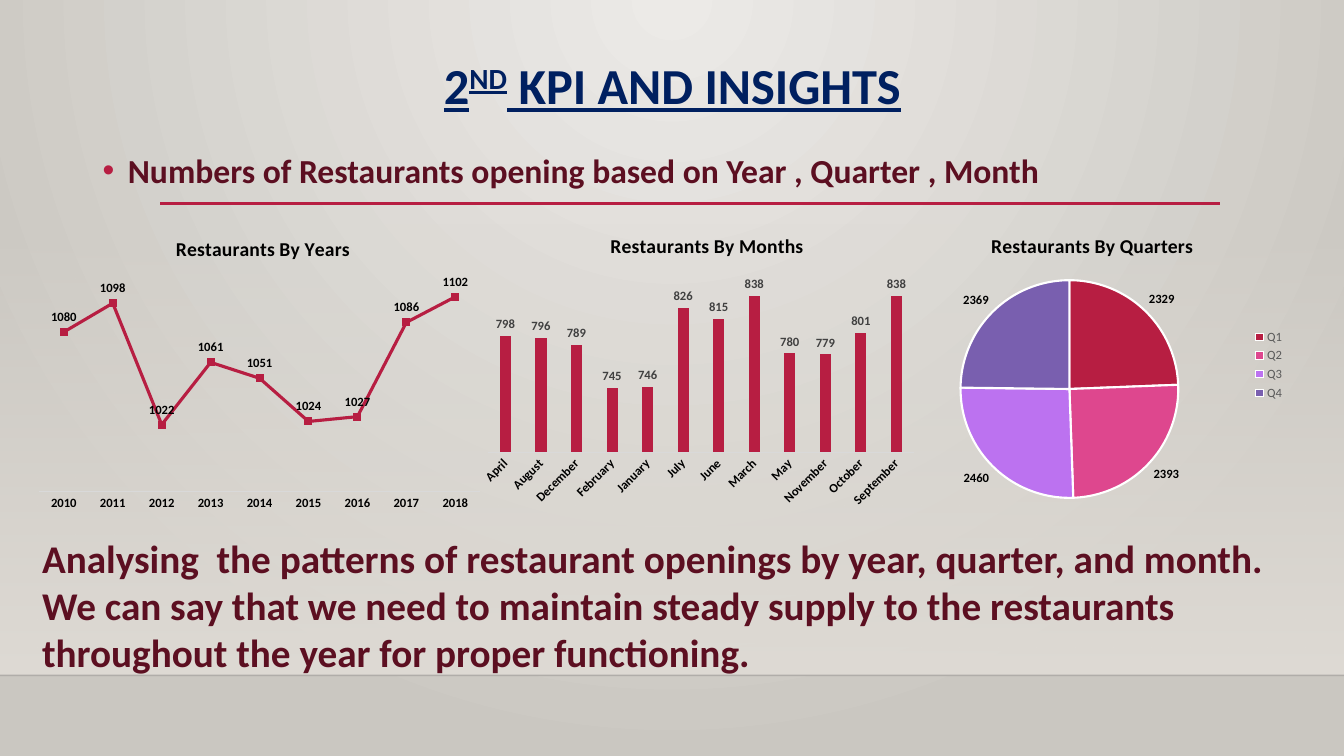
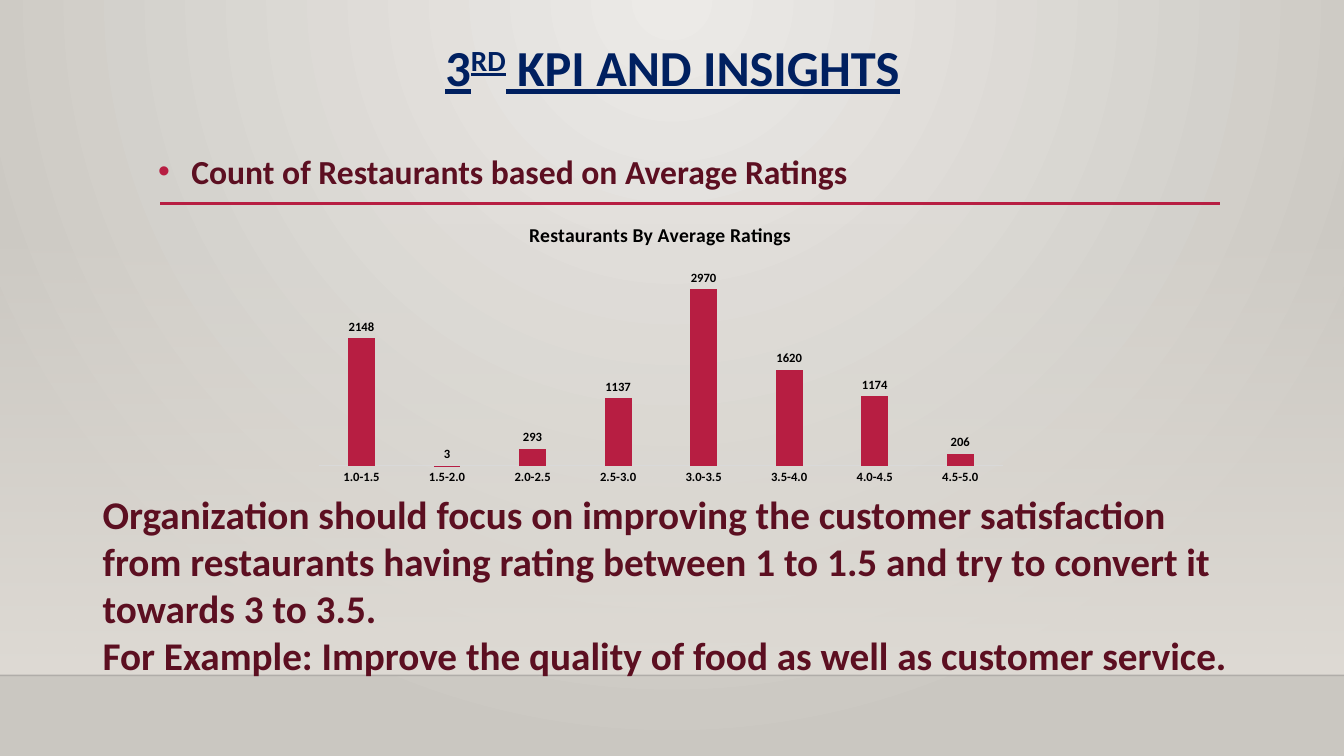
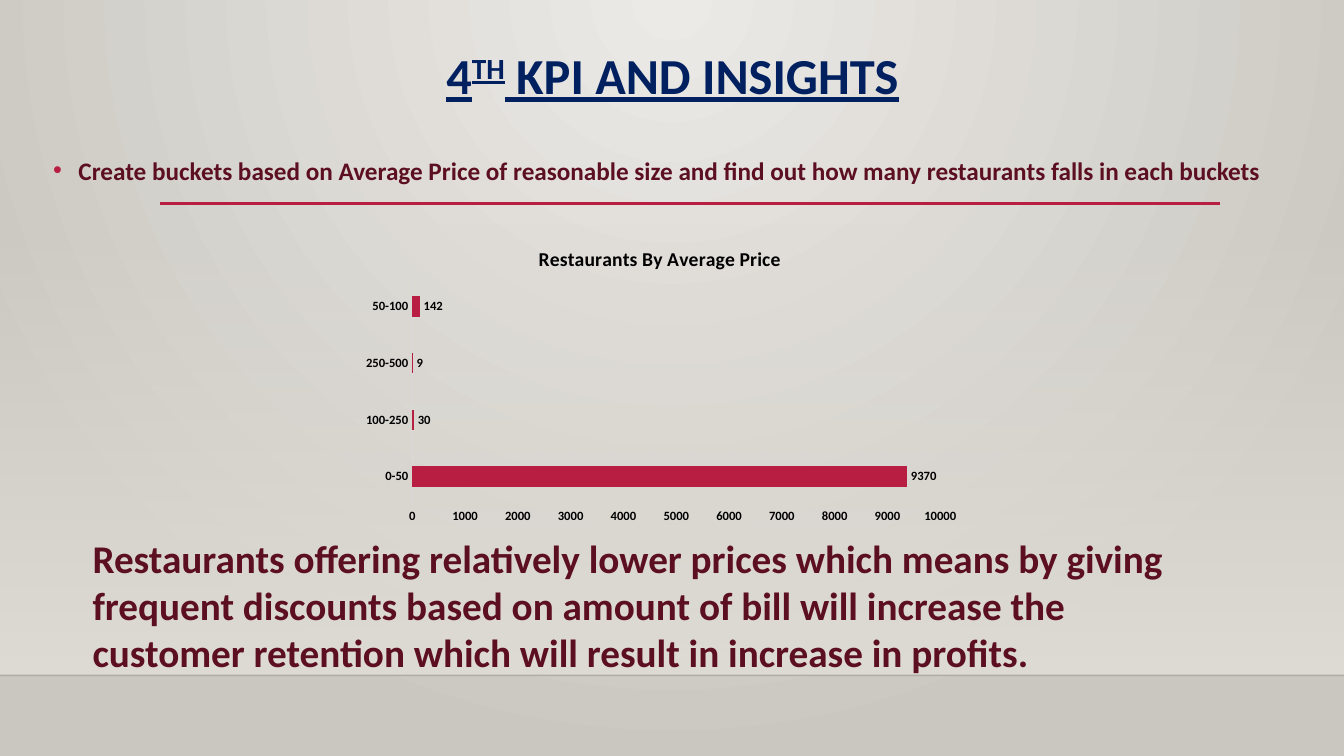
from lxml.etree import SubElement
from pptx import Presentation
from pptx.chart.data import CategoryChartData
from pptx.dml.color import RGBColor
from pptx.enum.chart import XL_CHART_TYPE, XL_LABEL_POSITION, XL_LEGEND_POSITION, XL_TICK_MARK
from pptx.enum.shapes import MSO_CONNECTOR, MSO_SHAPE
from pptx.enum.text import MSO_AUTO_SIZE, PP_ALIGN
from pptx.oxml.ns import qn
from pptx.util import Inches, Pt

theme = {
    "glow": "ECEAE7", "edge": "CAC7C1", "floor": "DFDBD5", "shade": "000001",
    "rose": "B71E42", "axis": "D9D9D9", "white": "FFFFFF",
    "slices": ["B71E42", "DE478E", "BC72F0", "795FAF"],
    "title": {"size": 36, "color": "002060", "bold": True, "underline": True},
    "topic": {"size": 24, "color": "5C0F21", "bold": True},
    "long": {"size": 18, "color": "5C0F21", "bold": True},
    "note": {"size": 28, "color": "5C0F21", "bold": True},
    "chart": {"size": 10, "color": "000000"},
    "head": {"size": 14, "color": "000000", "bold": True},
    "label": {"size": 9, "color": "000000", "bold": True},
    "soft": {"size": 9, "color": "404040", "bold": True},
    "key": {"size": 9, "color": "595959", "bold": False},
}


def ink(font, name):
    font.name = "Calibri"
    for key, val in theme[name].items():
        if key == "color":
            font.color.rgb = RGBColor.from_string(val)
        else:
            setattr(font, key, Pt(val) if key == "size" else val)


def write(slide, rect, name, lines):
    box = slide.shapes.add_textbox(*map(Inches, rect))
    frame = box.text_frame
    frame.word_wrap = True
    for spot, runs in enumerate(lines):
        para = frame.add_paragraph() if spot else frame.paragraphs[0]
        for text in runs:
            run = para.add_run()
            run.text = text
            ink(run.font, name)
    return frame


column, line = XL_CHART_TYPE.COLUMN_CLUSTERED, XL_CHART_TYPE.LINE
bar, pie = XL_CHART_TYPE.BAR_CLUSTERED, XL_CHART_TYPE.PIE
above, beyond = XL_LABEL_POSITION.ABOVE, XL_LABEL_POSITION.OUTSIDE_END

pages = [
    {
        "rank": ("2", "ND"), "title": (0.56, 0.92),
        "topic": "Numbers of Restaurants opening based on Year , Quarter , Month",
        "place": (0.92, 1.36, 11.5), "type": "topic", "indent": 0.25,
        "box": (0.32, 5.25, 12.52, 1.51),
        "note": ["Analysing  the patterns of restaurant openings by year, quarter, and month. We can say that we need to maintain steady supply to the restaurants throughout the year for proper functioning."],
        "charts": [
            {"kind": column, "at": (4.7, 2.12, 4.55, 3), "title": "Restaurants By Months", "left": 0.29,
             "plot": (0.03, 0.2, 0.93, 0.59), "range": (680, 860), "label": "soft", "turn": -45,
             "data": {"April": 798, "August": 796, "December": 789, "February": 745, "January": 746, "July": 826,
                      "June": 815, "March": 838, "May": 780, "November": 779, "October": 801, "September": 838}},
            {"kind": pie, "at": (8.78, 2.12, 4.06, 3), "title": "Restaurants By Quarters", "left": 0.25,
             "plot": (0.18, 0.22, 0.54, 0.72), "label": "label",
             "data": {"Q1": 2329, "Q2": 2393, "Q3": 2460, "Q4": 2369}},
            {"kind": line, "at": (0.3, 2.15, 4.55, 3), "title": "Restaurants By Years", "left": 0.31,
             "plot": (0.02, 0.17, 0.96, 0.74), "range": (980, 1120), "label": "label",
             "data": {"2010": 1080, "2011": 1098, "2012": 1022, "2013": 1061, "2014": 1051,
                      "2015": 1024, "2016": 1027, "2017": 1086, "2018": 1102}},
        ],
    },
    {
        "rank": ("3", "RD"), "title": (0.38, 0.89),
        "topic": "Count of Restaurants based on Average Ratings",
        "place": (1.47, 1.37, 10.94), "type": "topic", "indent": 0.33,
        "box": (0.92, 4.81, 11.39, 1.99),
        "note": ["Organization should focus on improving the customer satisfaction from restaurants having rating between 1 to 1.5 and try to convert it towards 3 to 3.5.",
                 "For Example: Improve the quality of food as well as customer service."],
        "charts": [
            {"kind": column, "at": (3.02, 2.02, 7.07, 2.83), "title": "Restaurants By Average Ratings", "left": 0.31,
             "plot": (0.02, 0.19, 0.96, 0.73), "range": (0, 3500), "label": "label",
             "data": {"1.0-1.5": 2148, "1.5-2.0": 3, "2.0-2.5": 293, "2.5-3.0": 1137,
                      "3.0-3.5": 2970, "3.5-4.0": 1620, "4.0-4.5": 1174, "4.5-5.0": 206}},
        ],
    },
    {
        "rank": ("4", "TH"), "title": (0.46, 0.75),
        "topic": "Create buckets based on Average Price of reasonable size and find out how many restaurants falls in each buckets",
        "place": (0.43, 1.43, 12.54), "type": "long", "indent": 0.25,
        "box": (0.82, 5.25, 11.26, 1.51),
        "note": ["Restaurants offering relatively lower prices which means by giving frequent discounts based on amount of bill will increase the customer retention which will result in increase in profits."],
        "charts": [
            {"kind": bar, "at": (3.48, 2.25, 6.09, 3), "title": "Restaurants By Average Price", "left": 0.3,
             "plot": (0.1, 0.17, 0.86, 0.75), "range": (0, 10000), "label": "label",
             "data": {"0-50": 9370, "100-250": 30, "250-500": 9, "50-100": 142}},
        ],
    },
]

deck = Presentation()
deck.slide_width, deck.slide_height = Inches(13.33), Inches(7.5)

master = deck.slide_master
fill = master.background.fill
fill.gradient()
for stop, tone in zip(fill.gradient_stops, ("glow", "edge")):
    stop.color.rgb = RGBColor.from_string(theme[tone])
grad = master.element.find(".//" + qn("a:gradFill"))
grad.remove(grad.find(qn("a:lin")))
round_ = SubElement(grad, qn("a:path"), {"path": "circle"})
SubElement(round_, qn("a:fillToRect"), {"l": "43000", "t": "0", "r": "43000", "b": "100000"})

for page in pages:
    slide = deck.slides.add_slide(deck.slide_layouts[6])

    band = slide.shapes.add_shape(MSO_SHAPE.RECTANGLE, 0, Inches(2.21), deck.slide_width, Inches(4.49))
    band.shadow.inherit = False
    band.line.fill.background()
    band.fill.gradient()
    band.fill.gradient_angle = 270
    for stop in band.fill.gradient_stops:
        stop.color.rgb = RGBColor.from_string(theme["floor"])
    tint = band.element.find(".//" + qn("a:gs")).find(qn("a:srgbClr"))
    SubElement(tint, qn("a:alpha"), {"val": "0"})

    for start, end, y, tone, width, alpha in ((0, 13.33, 6.7, "shade", 1, 20), (1.59, 12.1, 2.02, "rose", 2.5, 100)):
        rule = slide.shapes.add_connector(MSO_CONNECTOR.STRAIGHT, Inches(start), Inches(y), Inches(end), Inches(y))
        rule.line.width = Pt(width)
        rule.line.color.rgb = RGBColor.from_string(theme[tone])
        SubElement(rule.element.find(".//" + qn("a:srgbClr")), qn("a:alpha"), {"val": str(alpha * 1000)})
        SubElement(rule.element.spPr, qn("a:effectLst"))

    top, height = page["title"]
    para = write(slide, (0.92, top, 11.5, height), "title", [(*page["rank"], " KPI AND INSIGHTS")]).paragraphs[0]
    para.alignment = PP_ALIGN.CENTER
    para.line_spacing = 0.9
    para.runs[1].font._element.set("baseline", "30000")

    left, top, width = page["place"]
    para = write(slide, (left, top, width, 6.75 - top), page["type"], [[page["topic"]]]).paragraphs[0]
    para.line_spacing = 1.2
    props = para._p.get_or_add_pPr()
    inset = Inches(page["indent"])
    props.set("marL", str(inset))
    props.set("indent", str(-inset))
    SubElement(SubElement(props, qn("a:buClr")), qn("a:srgbClr"), {"val": theme["rose"]})
    SubElement(props, qn("a:buFont"), {"typeface": "Arial"})
    SubElement(props, qn("a:buChar"), {"char": "•"})

    for item in page["charts"]:
        kind = item["kind"]
        data = CategoryChartData(number_format="0")
        data.categories = list(item["data"])
        data.add_series("Series 1", list(item["data"].values()))
        chart = slide.shapes.add_chart(kind, *map(Inches, item["at"]), data).chart
        ink(chart.font, "chart")
        chart.has_title = True
        chart.has_legend = kind == pie
        head = chart.chart_title
        head.text_frame.text = item["title"]
        ink(head.text_frame.paragraphs[0].runs[0].font, "head")

        area = chart.element.find(".//" + qn("c:plotArea"))
        for node, spot, frame in ((head._element, 1, (item["left"], 0.05)), (area, 0, item["plot"])):
            for old in node.findall(qn("c:layout")):
                node.remove(old)
            layout = SubElement(node, qn("c:layout"))
            node.insert(spot, layout)
            manual = SubElement(layout, qn("c:manualLayout"))
            if node is area:
                SubElement(manual, qn("c:layoutTarget"), {"val": "inner"})
            for axis in "xy":
                SubElement(manual, qn(f"c:{axis}Mode"), {"val": "edge"})
            for key, val in zip("xywh", frame):
                SubElement(manual, qn(f"c:{key}"), {"val": str(val)})

        plot = chart.plots[0]
        plot.vary_by_categories = kind == pie
        plot.has_data_labels = True
        labels = plot.data_labels
        for key, val in {"show_value": True, "show_percentage": False,
                         "position": above if kind == line else beyond}.items():
            setattr(labels, key, val)
        ink(labels.font, item["label"])
        series = plot.series[0]

        if kind == pie:
            chart.legend.position = XL_LEGEND_POSITION.RIGHT
            chart.legend.include_in_layout = False
            ink(chart.legend.font, "key")
            for spot, tone in enumerate(theme["slices"]):
                slice_ = series.points[spot].format
                slice_.fill.solid()
                slice_.fill.fore_color.rgb = RGBColor.from_string(tone)
                slice_.line.color.rgb = RGBColor.from_string(theme["white"])
                slice_.line.width = Pt(1.5)
            continue

        if kind == line:
            series.smooth = False
            series.marker.style = None
            series.format.line.color.rgb = RGBColor.from_string(theme["rose"])
            series.format.line.width = Pt(2.25)
        else:
            series.format.fill.solid()
            series.format.fill.fore_color.rgb = RGBColor.from_string(theme["rose"])
            plot.gap_width = 182 if kind == bar else 219
            plot.overlap = 0 if kind == bar else -27

        cats, vals = chart.category_axis, chart.value_axis
        for axis in (cats, vals):
            for key, val in {"has_major_gridlines": False, "major_tick_mark": XL_TICK_MARK.NONE,
                             "minor_tick_mark": XL_TICK_MARK.NONE}.items():
                setattr(axis, key, val)
            ink(axis.tick_labels.font, "label")
        cats.format.line.color.rgb = RGBColor.from_string(theme["axis"])
        cats.format.line.width = Pt(0.75)
        vals.format.line.fill.background()
        vals.minimum_scale, vals.maximum_scale = item["range"]
        vals.visible = kind == bar
        if kind == bar:
            vals.major_unit = 1000
        if "turn" in item:
            body = area.find(qn("c:catAx")).find(".//" + qn("a:bodyPr"))
            body.set("rot", str(item["turn"] * 60000))

    note = write(slide, page["box"], "note", [[text] for text in page["note"]])
    note.auto_size = MSO_AUTO_SIZE.SHAPE_TO_FIT_TEXT

deck.save("out.pptx")
